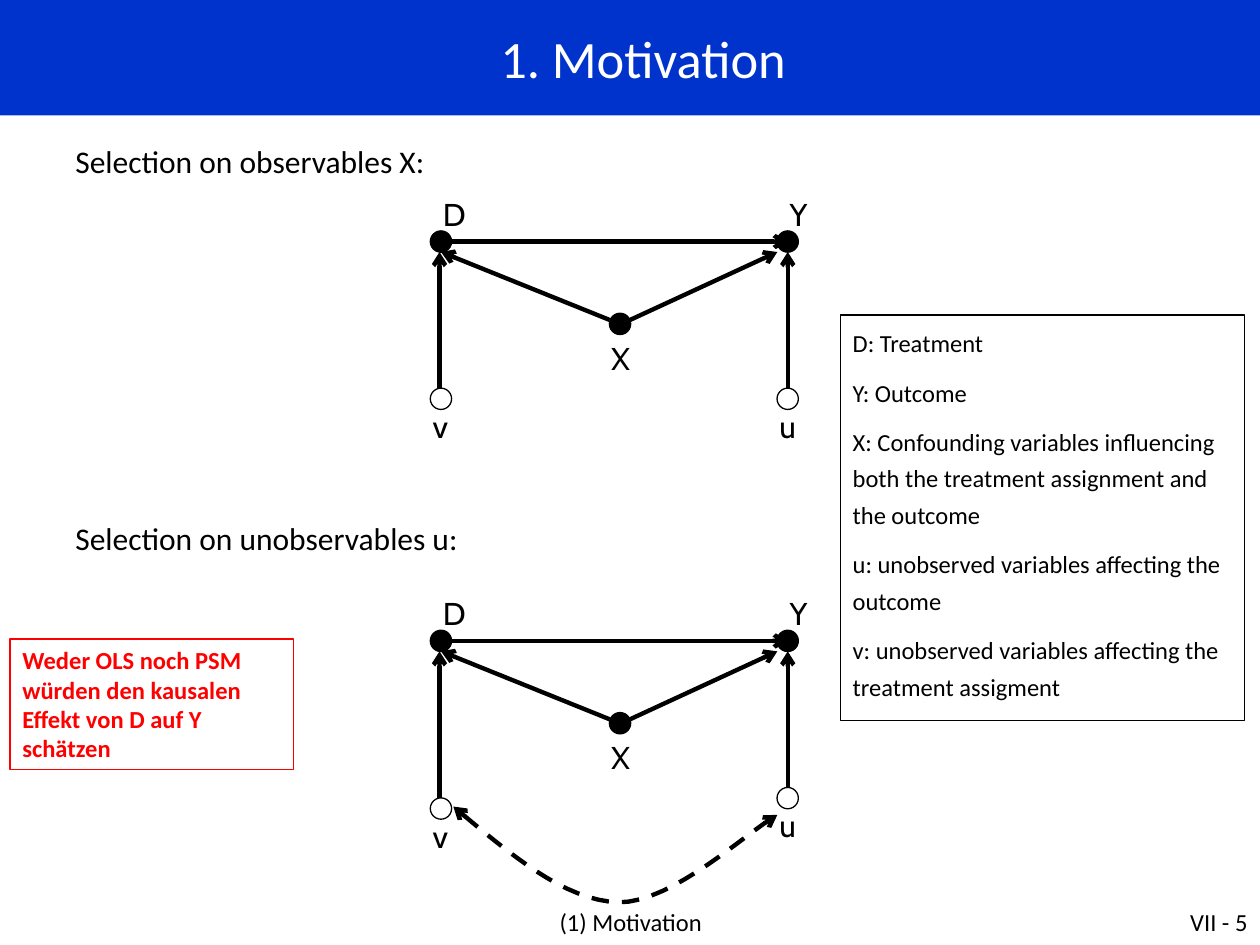
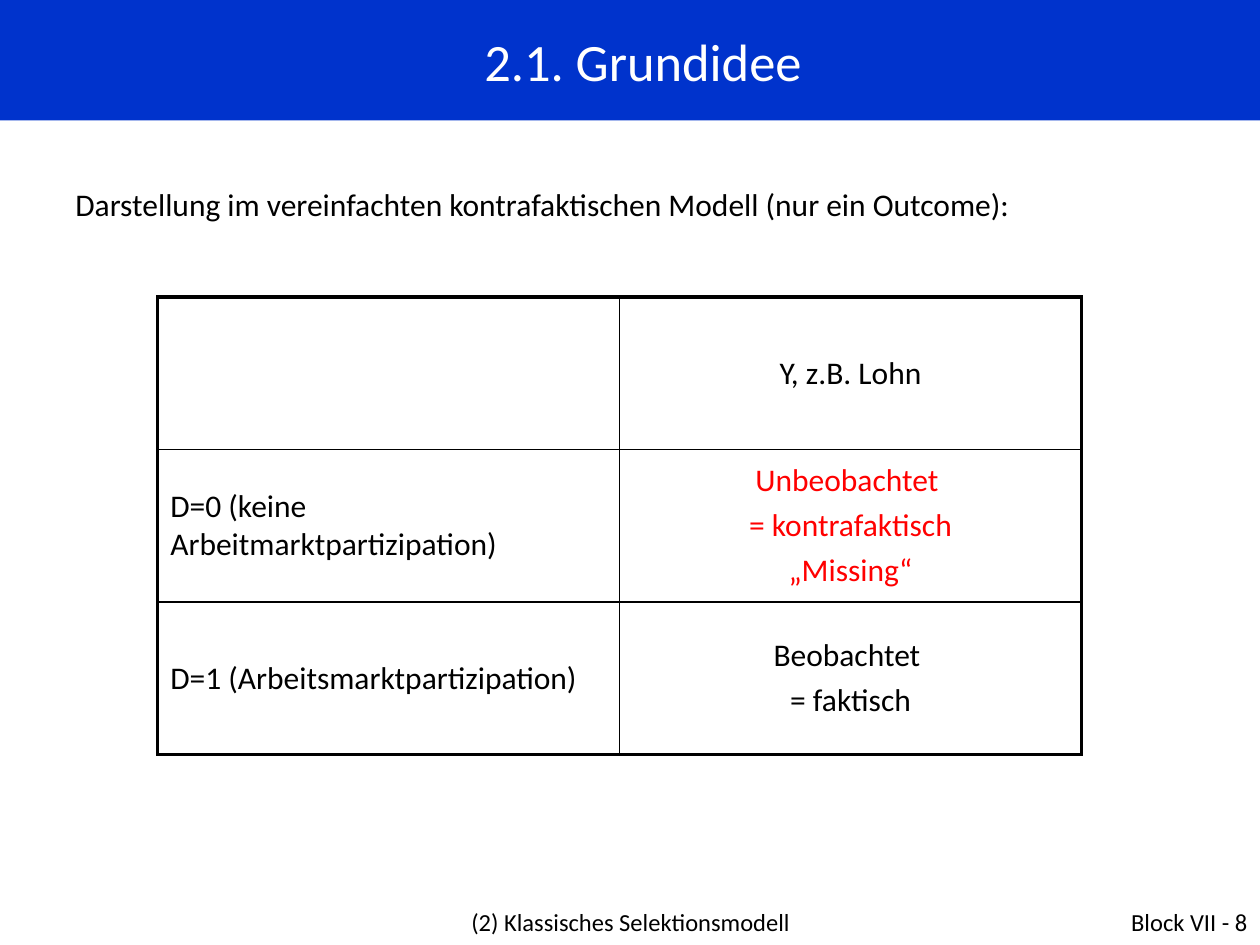
from pptx import Presentation
from pptx.dml.color import RGBColor
from pptx.enum.dml import MSO_LINE
from pptx.enum.shapes import MSO_CONNECTOR, MSO_SHAPE
from pptx.enum.text import MSO_ANCHOR, PP_ALIGN
from pptx.oxml.ns import qn
from pptx.util import Cm, Pt
from lxml import etree

LEFT, MID, RIGHT = PP_ALIGN.LEFT, PP_ALIGN.CENTER, PP_ALIGN.RIGHT
TOP, CENTER = MSO_ANCHOR.TOP, MSO_ANCHOR.MIDDLE
RECT, OVAL = MSO_SHAPE.RECTANGLE, MSO_SHAPE.OVAL
STRAIGHT, DASH = MSO_CONNECTOR.STRAIGHT, MSO_LINE.DASH

HUES = {"blue": "0033CC", "black": "000000", "red": "FF0000", "white": "FFFFFF"}
STYLES = {
    "title": {"font": {"size": Pt(30), "name": "Calibri"}, "hue": "white"},
    "body": {"font": {"size": Pt(18), "name": "Calibri"}, "hue": "black"},
    "alert": {"font": {"size": Pt(18), "name": "Calibri"}, "hue": "red"},
    "node": {"font": {"size": Pt(18), "name": "Cabin"}, "hue": "black"},
    "small": {"font": {"size": Pt(14), "name": "Calibri"}, "hue": "black"},
    "warn": {"font": {"size": Pt(14), "name": "Calibri", "bold": True}, "hue": "red"},
}

PAGES = [
    {"title": "1. Motivation", "band": 2.33, "foot": "(1) Motivation", "page": "VII - 5",
     "heads": [("Selection on observables X:", 2.74),
               ("Selection on unobservables u:", 10.34)]},
    {"title": "2.1. Grundidee", "band": 2.43, "foot": "(2) Klassisches Selektionsmodell",
     "page": "Block VII - 8",
     "heads": [("Darstellung im vereinfachten kontrafaktischen Modell (nur ein Outcome):", 3.6)]},
]
LEGEND = [
    "D: Treatment",
    "Y: Outcome",
    "X: Confounding variables influencing both the treatment assignment and the outcome",
    "u: unobserved variables affecting the outcome",
    "v: unobserved variables affecting the treatment assigment",
]
WARNING = ["Weder OLS noch PSM würden den kausalen Effekt von D auf Y schätzen"]

NODES = [
    ("D", 8.89, 4.87, True, -0.21, -1.06),
    ("Y", 15.88, 4.87, True, -0.21, -1.06),
    ("X", 12.5, 6.53, True, -0.43, 0.17),
    ("u", 15.88, 8.04, False, -0.42, 0.04),
    ("v", 8.89, 8.04, False, -0.42, 0.04),
]
EDGES = [
    ("D", 8.89, 4.87, 15.88, 4.87),
    ("X", 12.29, 6.45, 8.89, 5.08),
    ("X", 12.7, 6.45, 15.67, 5.08),
    ("u", 15.88, 7.82, 15.88, 5.08),
    ("v", 8.86, 7.82, 8.86, 5.08),
]
GRAPHS = [(0, 0), (8.05, 0.21)]
CURVE = [(9.14, 16.26), (10.26, 17.2), (11.38, 18.16), (12.47, 18.19),
         (13.56, 18.21), (15.14, 16.71), (15.67, 16.43)]
DOT = 0.43

CELLS = [
    [([], "body"), (["Y, z.B. Lohn"], "body")],
    [(["D=0 (keine Arbeitmarktpartizipation)"], "body"),
     (["Unbeobachtet ", "= kontrafaktisch", "„Missing“"], "alert")],
    [(["D=1 (Arbeitsmarktpartizipation)"], "body"),
     (["Beobachtet ", "= faktisch"], "body")],
]


def rgb(hue):
    return RGBColor.from_string(HUES[hue])


def write(frame, lines, style, align=LEFT, gap=0, **extra):
    look = STYLES[style]
    for i, line in enumerate(lines):
        para = frame.paragraphs[0] if i == 0 else frame.add_paragraph()
        form = {"alignment": align, "space_before": Pt(gap if i else 0), **extra}
        for key, val in form.items():
            setattr(para, key, val)
        run = para.add_run()
        run.text = line
        for key, val in look["font"].items():
            setattr(run.font, key, val)
        run.font.color.rgb = rgb(look["hue"])


def label(slide, box, lines, style, align=LEFT):
    frame = slide.shapes.add_textbox(*map(Cm, box)).text_frame
    frame.word_wrap = True
    write(frame, lines, style, align)


def shape(slide, kind, box, fill=None, edge=None):
    item = slide.shapes.add_shape(kind, *map(Cm, box))
    item.shadow.inherit = False
    if fill:
        item.fill.solid()
        item.fill.fore_color.rgb = rgb(fill)
    else:
        item.fill.background()
    if edge:
        item.line.color.rgb = rgb(edge)
        item.line.width = Pt(0.75)
    else:
        item.line.fill.background()
    item.text_frame.vertical_anchor = TOP
    return item


def stroke(item, *ends):
    item.line.color.rgb = rgb("black")
    item.line.width = Pt(2.5)
    line = item.line._get_or_add_ln()
    for end in ends:
        etree.SubElement(line, qn("a:" + end), type="arrow")


def frame_page(deck, page):
    slide = deck.slides.add_slide(deck.slide_layouts[6])
    band = shape(slide, RECT, (0, 0, 25.4, page["band"]), "blue")
    band.text_frame.vertical_anchor = CENTER
    write(band.text_frame, [page["title"]], "title", MID)
    props = band.text_frame.paragraphs[0]._p.get_or_add_pPr()
    for key, val in {"marL": 1.32, "indent": -0.79}.items():
        props.set(key, str(Cm(val)))
    for text, top in page["heads"]:
        label(slide, (1.27, top, 22.65, 1.02), [text], "body")
    label(slide, (6.15, 18.16, 13.13, 0.88), [page["foot"]], "small", MID)
    label(slide, (19.48, 18.16, 5.92, 0.88), [page["page"]], "small", RIGHT)
    return slide


def graph(slide, down, drop):
    for name, x1, y1, x2, y2 in EDGES:
        low = drop if name == "v" else 0
        edge = slide.shapes.add_connector(
            STRAIGHT, Cm(x1), Cm(y1 + down + low), Cm(x2), Cm(y2 + down))
        stroke(edge, "tailEnd")
        etree.SubElement(edge._element.spPr, qn("a:effectLst"))
    for name, x, y, solid, dx, dy in NODES:
        y += down + (drop if name == "v" else 0)
        shape(slide, OVAL, (x - DOT / 2, y - DOT / 2, DOT, DOT),
              "black" if solid else None, "black")
        label(slide, (x + dx, y + dy, 1.27, 1.02), [name], "node")


def bend(slide, steps=16):
    spots = [CURVE[0]]
    for k in range(0, len(CURVE) - 1, 3):
        a, b, c, d = CURVE[k:k + 4]
        for i in range(1, steps + 1):
            t = i / steps
            s = 1 - t
            spots.append(tuple(
                s**3 * a[n] + 3 * s * s * t * b[n] + 3 * s * t * t * c[n] + t**3 * d[n]
                for n in (0, 1)))
    spots = [(Cm(x), Cm(y)) for x, y in spots]
    pen = slide.shapes.build_freeform(*spots[0])
    pen.add_line_segments(spots[1:], close=False)
    arc = pen.convert_to_shape()
    arc.shadow.inherit = False
    arc.fill.background()
    arc.line.dash_style = DASH
    stroke(arc, "headEnd", "tailEnd")


def border(cell, sides):
    props = cell._tc.get_or_add_tcPr()
    for i, (side, width) in enumerate(sides.items()):
        line = etree.Element(qn("a:ln" + side), w=str(Pt(width)))
        fill = etree.SubElement(line, qn("a:solidFill"))
        etree.SubElement(fill, qn("a:srgbClr"), val=HUES["black"])
        props.insert(i, line)


def grid(slide):
    rows, cols = len(CELLS), len(CELLS[0])
    table = slide.shapes.add_table(
        rows, cols, Cm(3.18), Cm(5.99), Cm(18.62), Cm(9.22)).table
    table.first_row = table.horz_banding = False
    for r, row in enumerate(CELLS):
        for c, (lines, style) in enumerate(row):
            cell = table.cell(r, c)
            cell.fill.background()
            cell.vertical_anchor = CENTER
            write(cell.text_frame, lines, style, MID if c else LEFT, 3.6)
            outer = {"L": c == 0, "R": c == cols - 1, "T": r == 0, "B": r == rows - 1}
            border(cell, {side: 2.25 if out else 1 for side, out in outer.items()})


def main():
    deck = Presentation()
    deck.slide_width, deck.slide_height = Cm(25.4), Cm(19.05)
    cause, model = [frame_page(deck, page) for page in PAGES]
    for down, drop in GRAPHS:
        graph(cause, down, drop)
    bend(cause)
    note = shape(cause, RECT, (0.2, 12.88, 5.72, 2.64), None, "red")
    write(note.text_frame, WARNING, "warn")
    key = shape(cause, RECT, (16.94, 6.35, 8.15, 8.18), None, "black")
    write(key.text_frame, LEGEND, "small", gap=7, line_spacing=1.25)
    grid(model)
    deck.save("out.pptx")


if __name__ == "__main__":
    main()
